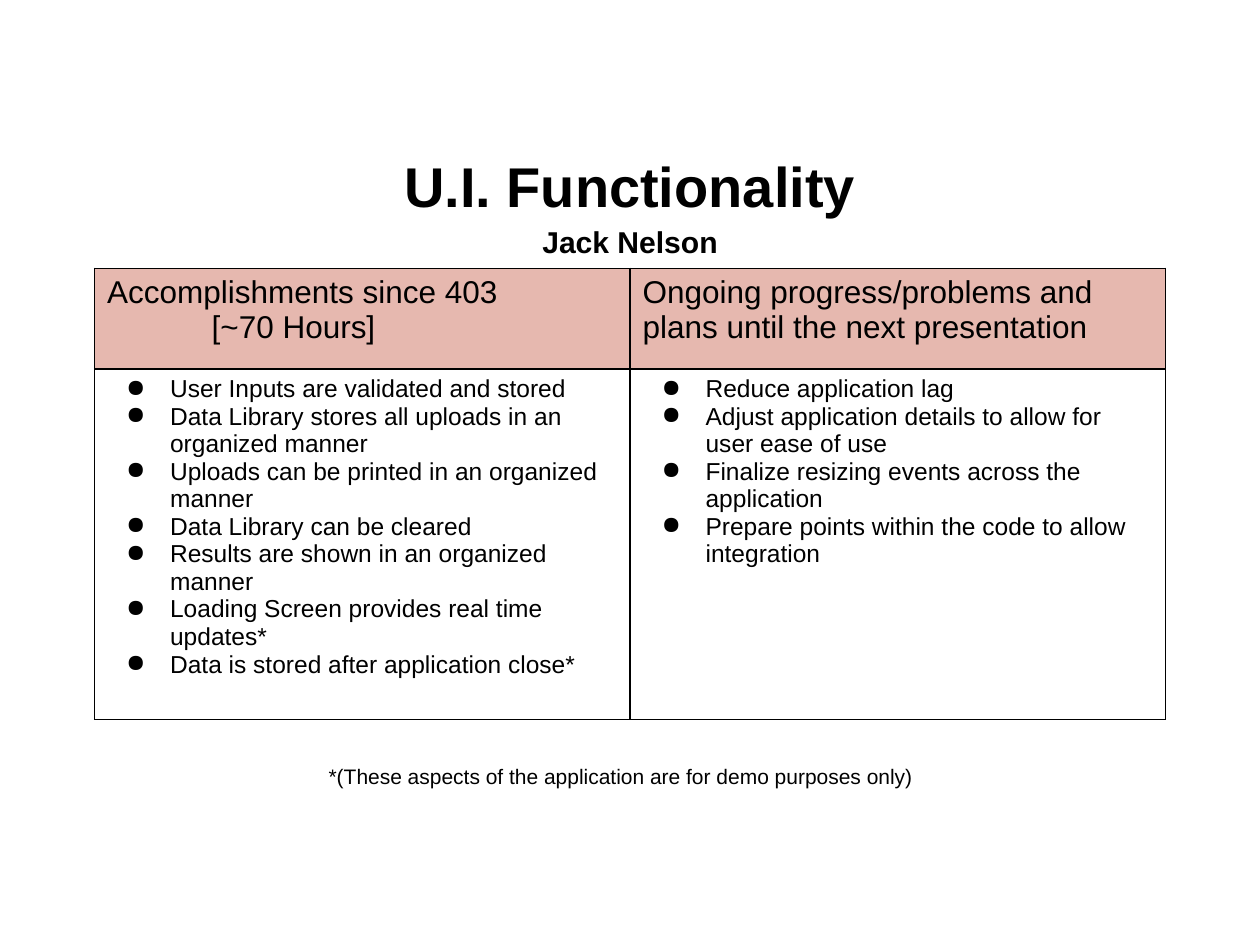
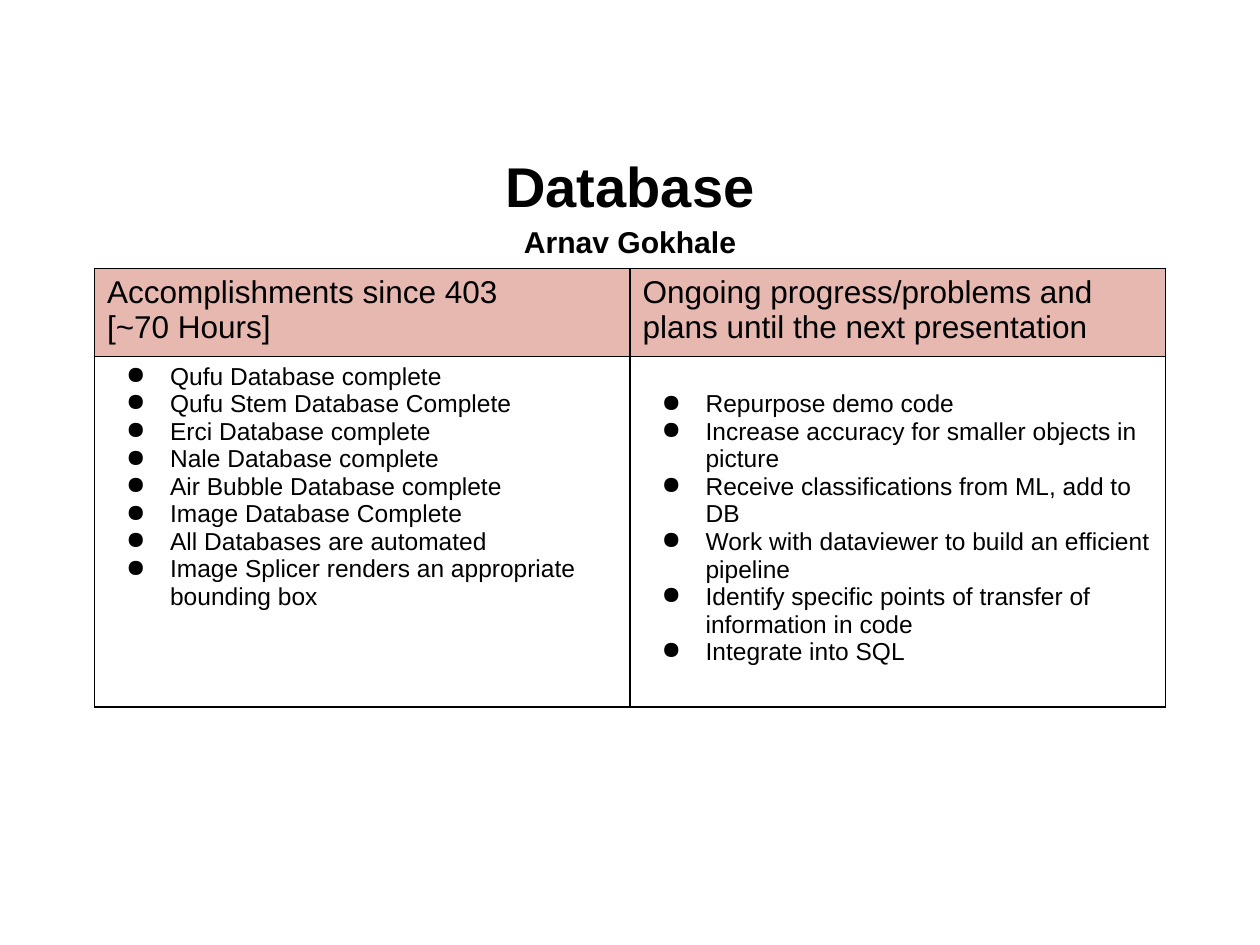
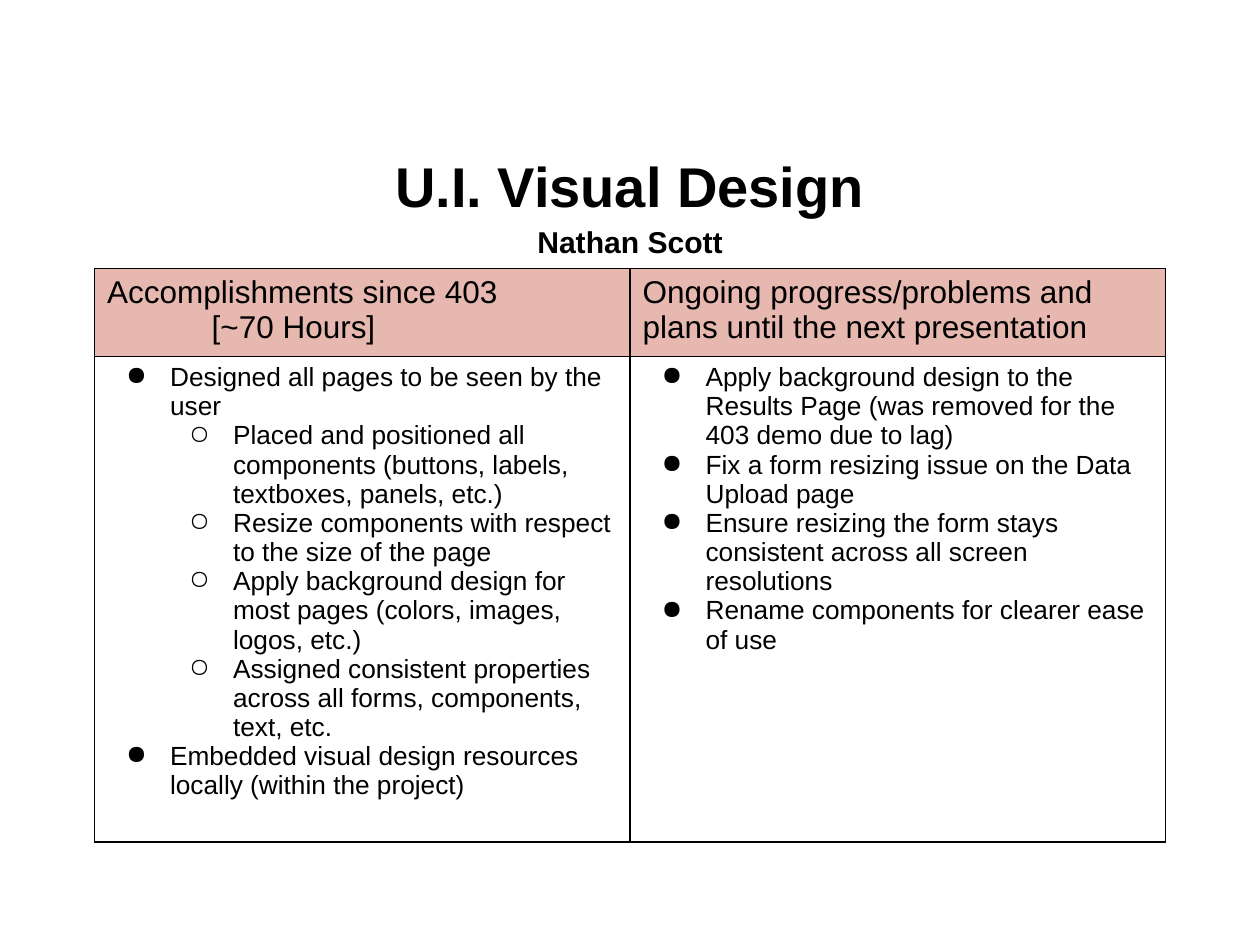
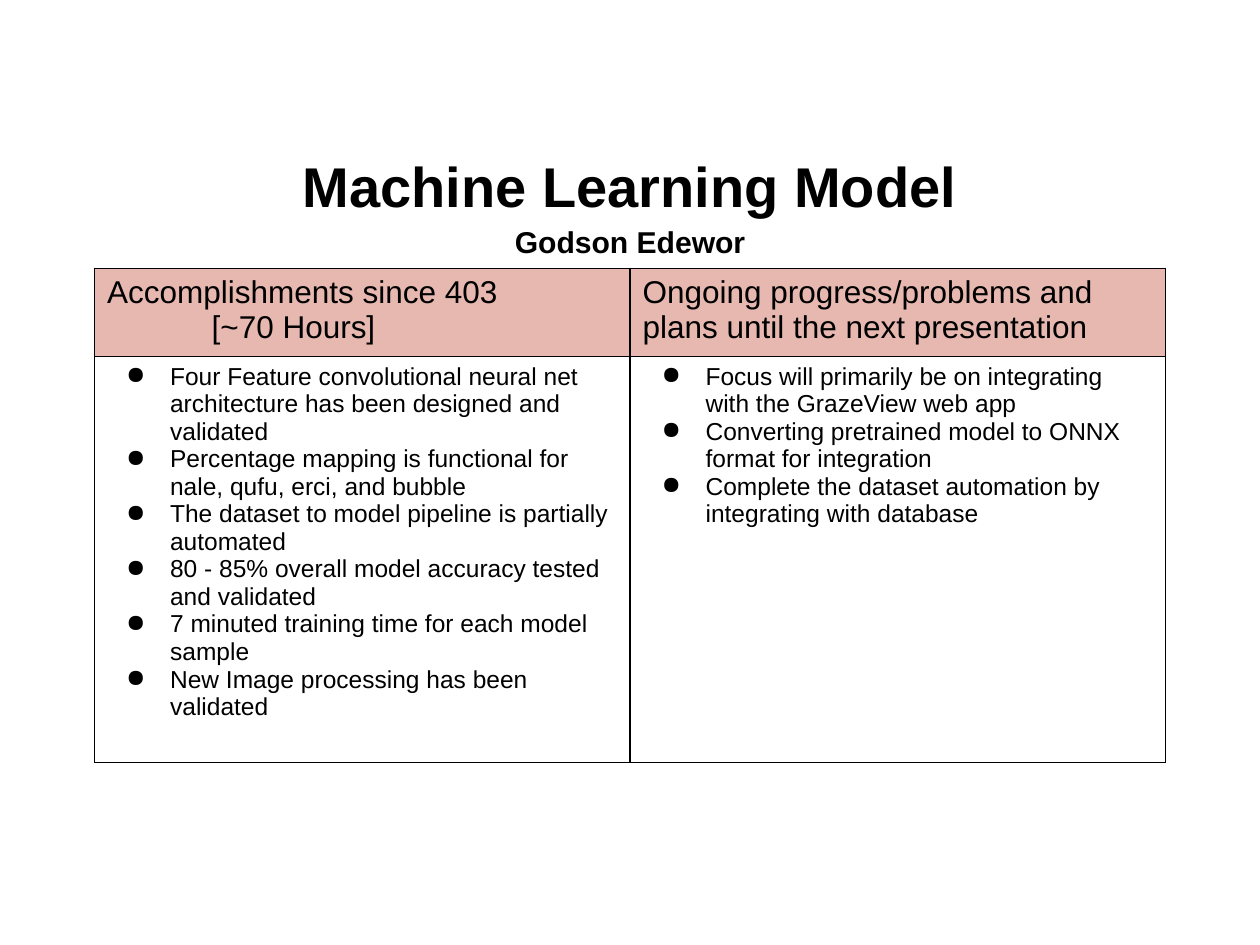
import dataclasses

import lxml.etree
import pptx
import pptx.dml.color
import pptx.enum.text
import pptx.oxml.ns
import pptx.util

Inches = pptx.util.Inches
Pt = pptx.util.Pt

# Shared look
FONT = "Arial"
BLACK = pptx.dml.color.RGBColor(0x00, 0x00, 0x00)
HEADER_PINK = pptx.dml.color.RGBColor(0xE6, 0xB8, 0xAF)
TITLE_SIZE, NAME_SIZE, HEADER_SIZE, NOTE_SIZE = 32, 17.2, 18, 12
BULLETS = ("●", "○")
BULLET_INDENT = 0.5
BULLET_HANG = 0.35
HOURS_INDENT = 0.83

# Regions as left, top, width, height in inches
SLIDE_WIDTH, SLIDE_HEIGHT = 10, 7.5
TITLE_BOX = (0.5, 1.15, 9, 0.88)
TABLE_LEFT, TABLE_TOP, TABLE_WIDTH = 0.75, 2.13, 8.5
NOTE_BOX = (2.51, 6.01, 4.97, 0.3)

HEADERS = (
    "Accomplishments since 403\n[~70 Hours]",
    "Ongoing progress/problems and plans until the next presentation",
)


@dataclasses.dataclass
class Report:
    """One team member's progress; a nested tuple holds sub-points."""
    title: str
    name: str
    done: tuple
    planned: tuple
    body_height: float
    header_height: float = 0.7
    body_size: float = 14
    hours_indent: float = HOURS_INDENT
    planned_top: float = 0.05
    note: str = ""


REPORTS = (
    Report(
        "U.I. Functionality", "Jack Nelson",
        done=(
            "User Inputs are validated and stored",
            "Data Library stores all uploads in an organized manner",
            "Uploads can be printed in an organized manner",
            "Data Library can be cleared",
            "Results are shown in an organized manner",
            "Loading Screen provides real time updates*",
            "Data is stored after application close*",
        ),
        planned=(
            "Reduce application lag",
            "Adjust application details to allow for user ease of use",
            "Finalize resizing events across the application",
            "Prepare points within the code to allow integration",
        ),
        body_height=2.78, header_height=0.8,
        note="*(These aspects of the application are for demo purposes only)",
    ),
    Report(
        "Database", "Arnav Gokhale",
        done=(
            "Qufu Database complete",
            "Qufu Stem Database Complete",
            "Erci Database complete",
            "Nale Database complete",
            "Air Bubble Database complete",
            "Image Database Complete",
            "All Databases are automated",
            "Image Splicer renders an appropriate bounding box",
        ),
        planned=(
            "Repurpose demo code",
            "Increase accuracy for smaller objects in picture",
            "Receive classifications from ML, add to DB",
            "Work with dataviewer to build an efficient pipeline",
            "Identify specific points of transfer of information in code",
            "Integrate into SQL",
        ),
        body_height=2.78, hours_indent=0, planned_top=0.27,
    ),
    Report(
        "U.I. Visual Design", "Nathan Scott",
        done=(
            "Designed all pages to be seen by the user",
            (
                "Placed and positioned all components (buttons, labels, textboxes, panels, etc.)",
                "Resize components with respect to the size of the page",
                "Apply background design for most pages (colors, images, logos, etc.)",
                "Assigned consistent properties across all forms, components, text, etc.",
            ),
            "Embedded visual design resources locally (within the project)",
        ),
        planned=(
            "Apply background design to the Results Page (was removed for the 403 demo due to lag)",
            "Fix a form resizing issue on the Data Upload page",
            "Ensure resizing the form stays consistent across all screen resolutions",
            "Rename components for clearer ease of use",
        ),
        body_height=3.85, body_size=15,
    ),
    Report(
        "Machine Learning Model", "Godson Edewor",
        done=(
            "Four Feature convolutional neural net architecture has been designed and validated",
            "Percentage mapping is functional for nale, qufu, erci, and bubble",
            "The dataset to model pipeline is partially automated",
            "80 - 85% overall model accuracy tested and validated",
            "7 minuted training time for each model sample",
            "New Image processing has been validated",
        ),
        planned=(
            "Focus will primarily be on integrating with the GrazeView web app",
            "Converting pretrained model to ONNX format for integration",
            "Complete the dataset automation by integrating with database",
        ),
        body_height=3.22,
    ),
)


# Text helpers
def style_runs(paragraph, size, bold=False):
    for run in paragraph.runs:
        run.font.name = FONT
        run.font.size = Pt(size)
        run.font.bold = bold
        run.font.color.rgb = BLACK


def add_element(parent, tag, **attributes):
    return lxml.etree.SubElement(parent, pptx.oxml.ns.qn(tag), attributes)


def set_indent(paragraph, left, hang=0):
    properties = paragraph._p.get_or_add_pPr()
    properties.set("marL", str(Inches(left)))
    properties.set("indent", str(-Inches(hang)))
    return properties


def add_bullet(paragraph, level):
    paragraph.level = level
    properties = set_indent(paragraph, BULLET_INDENT * (level + 1), BULLET_HANG)
    color = add_element(properties, "a:buClr")
    add_element(color, "a:srgbClr", val=str(BLACK))
    add_element(properties, "a:buChar", char=BULLETS[level])


def flatten(points, level=0):
    for point in points:
        if isinstance(point, tuple):
            yield from flatten(point, level + 1)
        else:
            yield point, level


def add_text_box(slide, box, text):
    text_frame = slide.shapes.add_textbox(*map(Inches, box)).text_frame
    text_frame.word_wrap = True
    text_frame.text = text
    return text_frame


# Regions of a slide
def add_title(slide, box, report):
    text_frame = add_text_box(slide, box, f"{report.title}\n{report.name}")
    text_frame.vertical_anchor = pptx.enum.text.MSO_ANCHOR.MIDDLE
    for paragraph, size in zip(text_frame.paragraphs, (TITLE_SIZE, NAME_SIZE)):
        paragraph.alignment = pptx.enum.text.PP_ALIGN.CENTER
        paragraph.line_spacing = 1.15
        style_runs(paragraph, size, bold=True)


def add_borders(cell):
    properties = cell._tc.get_or_add_tcPr()
    for position, side in enumerate(("a:lnL", "a:lnR", "a:lnT", "a:lnB")):
        line = add_element(properties, side, w=str(Pt(1)))
        fill = add_element(line, "a:solidFill")
        add_element(fill, "a:srgbClr", val=str(BLACK))
        properties.insert(position, line)  # borders come before the fill


def fill_header(cell, text, hours_indent):
    cell.fill.solid()
    cell.fill.fore_color.rgb = HEADER_PINK
    cell.text_frame.text = text
    for paragraph in cell.text_frame.paragraphs:
        style_runs(paragraph, HEADER_SIZE)
    for paragraph in cell.text_frame.paragraphs[1:]:
        set_indent(paragraph, hours_indent)


def fill_points(cell, points, size):
    cell.fill.background()
    lines = list(flatten(points))
    cell.text_frame.text = "\n".join(text for text, level in lines)
    for paragraph, (text, level) in zip(cell.text_frame.paragraphs, lines):
        add_bullet(paragraph, level)
        style_runs(paragraph, size)


def add_progress_table(slide, box, report):
    table = slide.shapes.add_table(2, 2, *map(Inches, box)).table
    table.first_row = table.horz_banding = False
    for row, height in zip(table.rows, (report.header_height, report.body_height)):
        row.height = Inches(height)
    for column, points in enumerate((report.done, report.planned)):
        fill_header(table.cell(0, column), HEADERS[column], report.hours_indent)
        fill_points(table.cell(1, column), points, report.body_size)
    table.cell(1, 1).margin_top = Inches(report.planned_top)
    for cell in table.iter_cells():
        add_borders(cell)


def add_note(slide, box, text):
    text_frame = add_text_box(slide, box, text)
    style_runs(text_frame.paragraphs[0], NOTE_SIZE)


def add_report_slide(presentation, report):
    slide = presentation.slides.add_slide(presentation.slide_layouts[6])
    add_title(slide, TITLE_BOX, report)
    table_height = report.header_height + report.body_height
    add_progress_table(slide, (TABLE_LEFT, TABLE_TOP, TABLE_WIDTH, table_height), report)
    if report.note:
        add_note(slide, NOTE_BOX, report.note)


def main():
    presentation = pptx.Presentation()
    presentation.slide_width = Inches(SLIDE_WIDTH)
    presentation.slide_height = Inches(SLIDE_HEIGHT)
    for report in REPORTS:
        add_report_slide(presentation, report)
    presentation.save("out.pptx")


if __name__ == "__main__":
    main()
